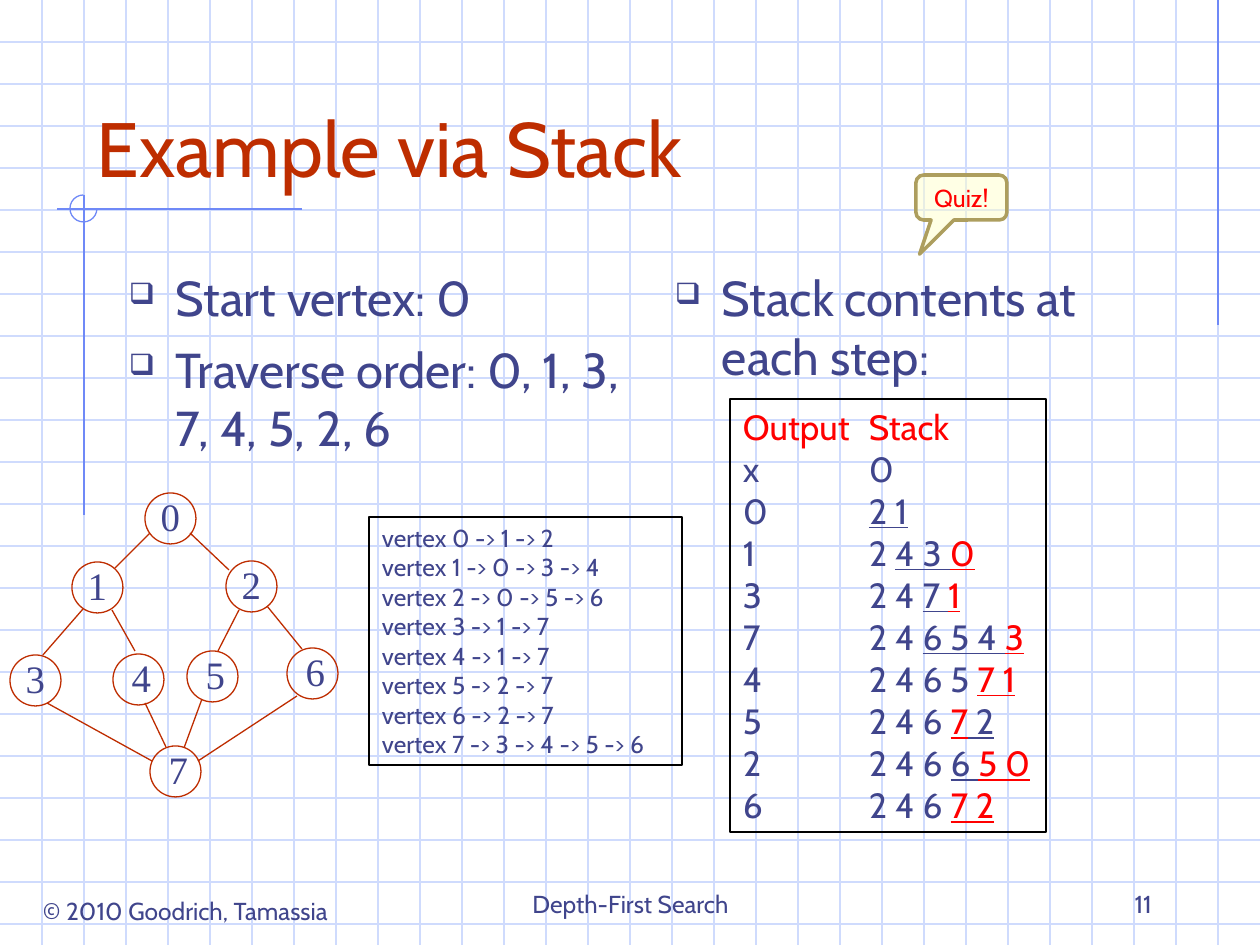
from lxml.etree import SubElement
from pptx import Presentation
from pptx.dml.color import RGBColor
from pptx.enum.shapes import MSO_CONNECTOR, MSO_SHAPE
from pptx.enum.text import MSO_ANCHOR, PP_ALIGN
from pptx.oxml.ns import qn
from pptx.util import Pt

PX = 914400 / 126
WIDTH, HEIGHT, GRID = 1260, 945, 42

INK = RGBColor(0x40, 0x45, 0x8C)
RUST = RGBColor(0xBE, 0x2D, 0x00)
RED = RGBColor(0xFF, 0x00, 0x00)
BLACK = RGBColor(0x00, 0x00, 0x00)
PALE_BLUE = RGBColor(0xCF, 0xDB, 0xFD)
BLUE = RGBColor(0x6F, 0x89, 0xF7)
CREAM = RGBColor(0xFF, 0xFF, 0xCC)
KHAKI = RGBColor(0xAD, 0x9E, 0x5E)

TITLE = "Example via Stack"
LEFT_POINTS = ["Start vertex: 0", "Traverse order: 0, 1, 3, 7, 4, 5, 2, 6"]
RIGHT_POINTS = ["Stack contents at each step:"]
NEIGHBOURS = [(1, 2), (0, 3, 4), (0, 5, 6), (1, 7), (1, 7), (2, 7), (2, 7), (3, 4, 5, 6)]

# Output, untouched part of the stack, then the underlined spans with their colours
STACK_STEPS = [
    ("x", "0"),
    ("0", "", ("2 1", INK)),
    ("1", "2 ", ("4 3 ", INK), ("0", RED)),
    ("3", "2 4 ", ("7 ", INK), ("1", RED)),
    ("7", "2 4 ", ("6 5 4 ", INK), ("3", RED)),
    ("4", "2 4 6 5 ", ("7 1", RED)),
    ("5", "2 4 6 ", ("7", RED), (" 2", INK)),
    ("2", "2 4 6 ", ("6 ", INK), ("5 0", RED)),
    ("6", "2 4 6 ", ("7 2", RED)),
]

NODE_SIZE = 51
NODES = [(145, 493), (72, 562), (226, 561), (10, 655),
         (113, 654), (187, 651), (287, 648), (150, 746)]
OFF_CENTRE_NODES = {4, 5, 6, 7}
EDGES = [
    (150, 533, 115, 568), (190, 533, 229, 570), (83, 609, 43, 655),
    (112, 610, 135, 651), (239, 610, 218, 651), (267, 606, 302, 649),
    (145, 703, 166, 747), (202, 699, 184, 748), (47, 703, 152, 761),
    (297, 696, 198, 761),
]
FRAME_LINES = [(1218, 0, 1218, 325), (302, 209, 57, 209), (84, 195, 84, 515)]


def emu(px):
    return round(px * PX)


def add_line(page, ends, colour):
    line = page.shapes.add_connector(MSO_CONNECTOR.STRAIGHT, *map(emu, ends))
    line.line.color.rgb = colour
    line.line.width = Pt(0.75)
    SubElement(line._element.spPr, qn("a:effectLst"))


def add_outline(page, kind, place, colour, weight=0.75):
    shape = page.shapes.add_shape(kind, *map(emu, place))
    shape.shadow.inherit = False
    shape.fill.background()
    shape.line.color.rgb = colour
    shape.line.width = Pt(weight)
    return shape


def add_span(para, text, size, colour, font="Cabin", underline=None):
    span = para.add_run()
    span.text = text
    span.font.color.rgb = colour
    formats = {"size": Pt(size), "name": font, "underline": underline}
    for name, value in formats.items():
        setattr(span.font, name, value)


def set_frame(shape, anchor=MSO_ANCHOR.TOP, insets=(13, 6, 13, 6)):
    frame = shape.text_frame
    frame.word_wrap = True
    frame.vertical_anchor = anchor
    for side, inset in zip(("left", "top", "right", "bottom"), insets):
        setattr(frame, f"margin_{side}", emu(inset))
    return frame


def add_paragraphs(frame, count, align=PP_ALIGN.LEFT):
    paras = [frame.paragraphs[0]] + [frame.add_paragraph() for _ in range(count - 1)]
    for para in paras:
        para.alignment = align
    return paras


def add_label(page, place, text, size, colour, align, anchor):
    box = page.shapes.add_textbox(*map(emu, place))
    (para,) = add_paragraphs(set_frame(box, anchor), 1, align)
    add_span(para, text, size, colour)


def add_points(page, place, points):
    frame = set_frame(page.shapes.add_textbox(*map(emu, place)))
    for index, (para, text) in enumerate(zip(add_paragraphs(frame, len(points)), points)):
        properties = para._p.get_or_add_pPr()
        properties.set("marL", str(emu(47)))
        properties.set("indent", str(emu(-47)))
        bullet_colour = SubElement(properties, qn("a:buClr"))
        SubElement(bullet_colour, qn("a:srgbClr"), val=str(INK))
        SubElement(properties, qn("a:buSzPct"), val="60000")
        SubElement(properties, qn("a:buChar"), char="❑")
        para.space_before = Pt(7 if index else 0)
        add_span(para, text, 28, INK)


def add_background(page):
    for y in range(GRID, HEIGHT, GRID):
        add_line(page, (0, y, WIDTH, y), PALE_BLUE)
    for x in range(GRID, WIDTH, GRID):
        add_line(page, (x, 0, x, HEIGHT), PALE_BLUE)
    for ends in FRAME_LINES:
        add_line(page, ends, BLUE)
    arc = add_outline(page, MSO_SHAPE.ARC, (70, 195, 27, 27), BLUE)
    arc.adjustments[0] = 0
    arc.adjustments[1] = 162  # 270 degrees


def add_graph(page):
    for number, (left, top) in enumerate(NODES):
        node = add_outline(page, MSO_SHAPE.OVAL, (left, top, NODE_SIZE, NODE_SIZE), RUST)
        left_inset = 8 if number in OFF_CENTRE_NODES else 2
        frame = set_frame(node, MSO_ANCHOR.MIDDLE, (left_inset, 1, 2, 1))
        (para,) = add_paragraphs(frame, 1, PP_ALIGN.CENTER)
        para.line_spacing = 0.9
        add_span(para, str(number), 22.2, INK, "Times New Roman")
    for ends in EDGES:
        add_line(page, ends, RUST)


def add_stack_trace(page):
    box = add_outline(page, MSO_SHAPE.RECTANGLE, (730, 399, 316, 433), BLACK)
    paras = add_paragraphs(set_frame(box), len(STACK_STEPS) + 1)
    for para in paras:
        tabs = SubElement(para._p.get_or_add_pPr(), qn("a:tabLst"))
        SubElement(tabs, qn("a:tab"), pos=str(emu(126)), algn="l")
    add_span(paras[0], "Output\tStack", 20, RED)
    for para, (output, kept, *changed) in zip(paras[1:], STACK_STEPS):
        add_span(para, f"{output}\t{kept}", 20, INK)
        for text, colour in changed:
            add_span(para, text, 20, colour, underline=True)


def add_quiz_callout(page):
    callout = add_outline(page, MSO_SHAPE.ROUNDED_RECTANGULAR_CALLOUT,
                          (916, 175, 91, 45), KHAKI, 2)
    for index, value in enumerate((-0.46, 1.26, 0.17)):
        callout.adjustments[index] = value
    callout.fill.solid()
    callout.fill.fore_color.rgb = CREAM
    colour = callout._element.spPr.find(qn("a:solidFill")).find(qn("a:srgbClr"))
    SubElement(colour, qn("a:alpha"), val="50000")
    (para,) = add_paragraphs(set_frame(callout, MSO_ANCHOR.MIDDLE), 1, PP_ALIGN.CENTER)
    add_span(para, "Quiz!", 14, RED)


def add_adjacency_lists(page):
    box = add_outline(page, MSO_SHAPE.RECTANGLE, (369, 517, 313, 248), BLACK)
    paras = add_paragraphs(set_frame(box), len(NEIGHBOURS))
    for vertex, (para, linked) in enumerate(zip(paras, NEIGHBOURS)):
        add_span(para, "vertex " + " -> ".join(map(str, (vertex, *linked))), 14, INK)


def main():
    deck = Presentation()
    deck.slide_width, deck.slide_height = emu(WIDTH), emu(HEIGHT)
    page = deck.slides.add_slide(deck.slide_layouts[6])
    add_background(page)
    labels = [
        ((15, 890, 341, 43), "© 2010 Goodrich, Tamassia", 14, INK, PP_ALIGN.CENTER, MSO_ANCHOR.TOP),
        ((84, 42, 1071, 157), TITLE, 44, RUST, PP_ALIGN.LEFT, MSO_ANCHOR.BOTTOM),
        ((431, 861, 399, 63), "Depth-First Search", 14, INK, PP_ALIGN.CENTER, MSO_ANCHOR.BOTTOM),
        ((903, 861, 262, 63), "11", 14, INK, PP_ALIGN.RIGHT, MSO_ANCHOR.BOTTOM),
    ]
    for label in labels:
        add_label(page, *label)
    add_points(page, (116, 262, 525, 567), LEFT_POINTS)
    add_points(page, (662, 262, 525, 567), RIGHT_POINTS)
    add_graph(page)
    add_stack_trace(page)
    add_quiz_callout(page)
    add_adjacency_lists(page)
    deck.save("out.pptx")


if __name__ == "__main__":
    main()
